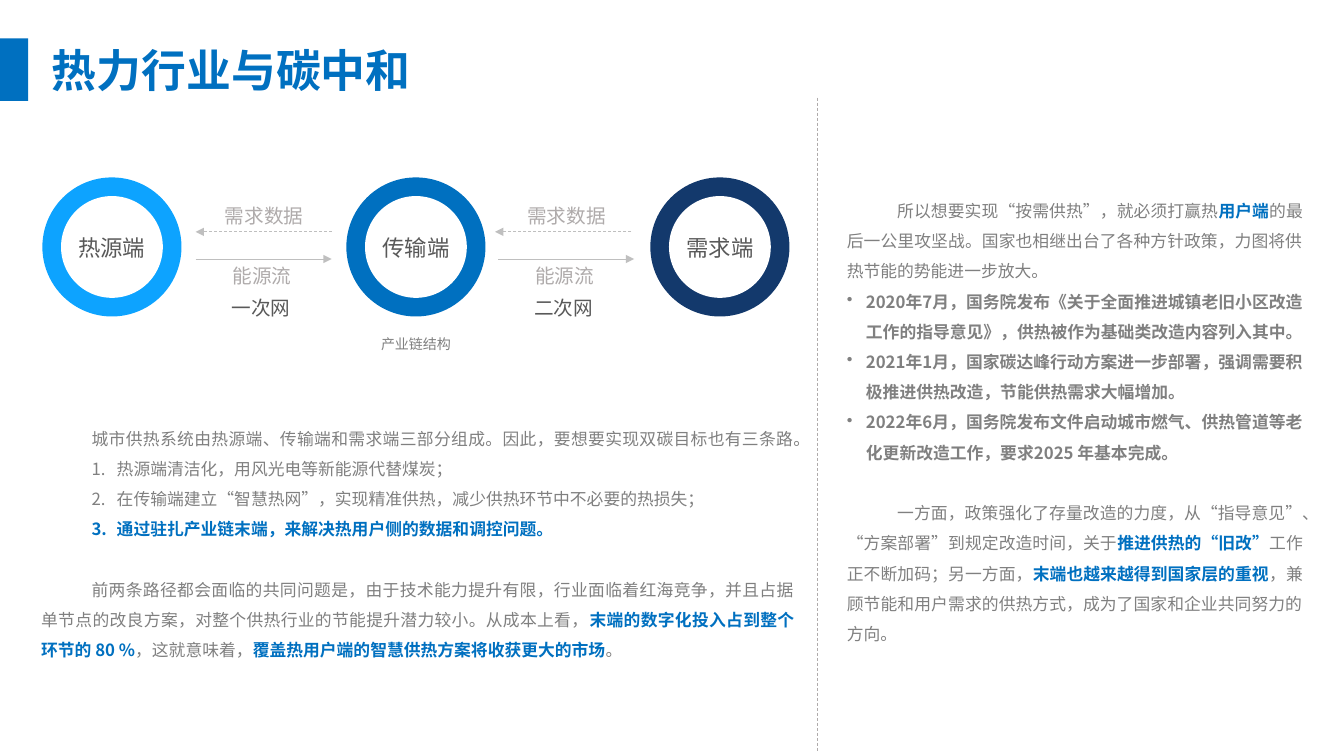
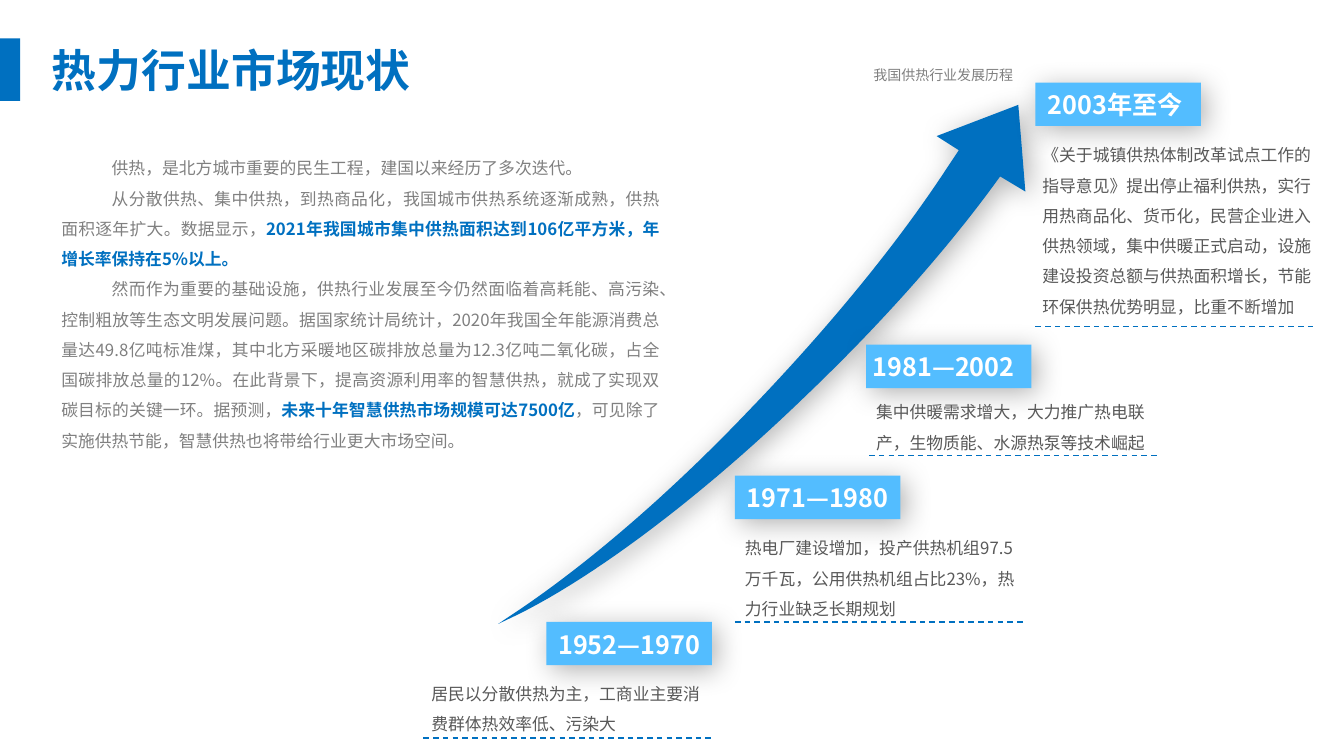
import pptx
import pptx.util
import pptx.dml.color
import pptx.enum.dml
import pptx.enum.shapes
import pptx.enum.text
import pptx.oxml
import pptx.oxml.ns

Inches, Pt = pptx.util.Inches, pptx.util.Pt
SHAPE = pptx.enum.shapes.MSO_SHAPE
ALIGN = pptx.enum.text.PP_ALIGN
FONT = "Noto Sans CJK SC"
BLUE, SKY, PALE, NAVY = "0070C0", "0DA3FF", "53BDFF", "13396C"
DARK, GRAY, SOFT, LIGHT, WHITE = "595959", "808080", "AFABAB", "BFBFBF", "FFFFFF"

# First-line indent and left margin for each kind of paragraph
INDENT = {"first": (0, 0.5), "num": (0.75, -0.25), "dot": (0.19, -0.19), "flat": (0, 0)}
BULLET = {"num": '<a:buAutoNum %s type="arabicPeriod"/>', "dot": '<a:buChar %s char="•"/>'}
GAP = 21.6  # height of one body line, in points


def paint(color, hue):
    color.rgb = pptx.dml.color.RGBColor.from_string(hue)


def add_xml(parent, markup):
    space = pptx.oxml.ns.nsdecls("a")
    parent.append(pptx.oxml.parse_xml(markup % space))


# Text
def style(run, size, hue, bold=False):
    font = run.font
    font.size, font.bold, font.name = Pt(size), bold, FONT
    paint(font.color, hue)
    props = run._r.get_or_add_rPr()
    props.set("lang", "zh-CN")
    add_xml(props, f'<a:ea %s typeface="{FONT}"/>')


def add_box(slide, x, y, w, h):
    frame = slide.shapes.add_textbox(*map(Inches, (x, y, w, h))).text_frame
    frame.word_wrap = True
    return frame


def label(slide, x, y, w, h, text, size, hue, bold=False):
    para = add_box(slide, x, y, w, h).paragraphs[0]
    para.text, para.alignment = text, ALIGN.CENTER
    style(para.runs[0], size, hue, bold)


def body(slide, x, y, w, h, items, hue=GRAY, align=ALIGN.JUSTIFY):
    """Items are (kind, space before, text); text between asterisks is stressed."""
    frame = add_box(slide, x, y, w, h)
    for i, (kind, space, text) in enumerate(items):
        para = frame.add_paragraph() if i else frame.paragraphs[0]
        para.alignment, para.line_spacing = align, 1.5
        para.space_before = Pt(space)
        props = para._p.get_or_add_pPr()
        for key, size in zip(("marL", "indent"), INDENT[kind]):
            props.set(key, str(Inches(size)))
        if kind in BULLET:
            add_xml(props, BULLET[kind])
        for j, part in enumerate(text.split("*")):
            if part:
                run = para.add_run()
                run.text = part
                stress = j % 2 == 1
                style(run, 12, BLUE if stress else hue, stress or kind == "dot")


# Shapes and lines
def fill(shape, hue, shade=False):
    shape.fill.solid()
    paint(shape.fill.fore_color, hue)
    shape.line.fill.background()
    shape.shadow.inherit = False
    if shade:
        glow = shape._element.spPr.find(pptx.oxml.ns.qn("a:effectLst"))
        add_xml(glow, f'<a:outerShdw %s blurRad="{Pt(20)}" dist="{Pt(5)}" dir="2700000" '
                      'algn="tl" rotWithShape="0"><a:srgbClr val="000000">'
                      '<a:alpha val="30000"/></a:srgbClr></a:outerShdw>')


def block(slide, kind, x, y, w, h, hue, shade=False):
    fill(slide.shapes.add_shape(kind, *map(Inches, (x, y, w, h))), hue, shade)


def rule(slide, x1, y1, x2, y2, hue, width, dash=True, arrow=False):
    kind = pptx.enum.shapes.MSO_CONNECTOR.STRAIGHT
    link = slide.shapes.add_connector(kind, *map(Inches, (x1, y1, x2, y2)))
    link.line.width = Pt(width)
    paint(link.line.color, hue)
    if dash:
        link.line.dash_style = pptx.enum.dml.MSO_LINE.DASH
    if arrow:
        add_xml(link.line._get_or_add_ln(), '<a:tailEnd %s type="triangle"/>')
    add_xml(link._element.spPr, "<a:effectLst %s/>")


def curve(a, b, c, d, steps=24):
    """Points of a cubic curve after its start a."""
    for t in (n / steps for n in range(1, steps + 1)):
        s = 1 - t
        yield tuple(s**3 * p + 3 * s * s * t * q + 3 * s * t * t * r + t**3 * e
                    for p, q, r, e in zip(a, b, c, d))


def swoosh(slide):
    pts = [(10.1, 1.04), (10.17, 1.9), (9.92, 1.75), (9.84, 1.86)]
    pts += curve(pts[-1], (9.36, 2.51), (8.74, 3.21), (8.02, 3.9))
    pts += curve(pts[-1], (6.96, 4.93), (5.91, 5.71), (5.15, 6.09))
    pts += [(4.94, 6.19), (5.15, 6.05)]
    pts += curve(pts[-1], (5.83, 5.59), (6.63, 4.91), (7.43, 4.07))
    pts += curve(pts[-1], (8.24, 3.23), (8.93, 2.38), (9.41, 1.64))
    pts += [(9.51, 1.49), (9.29, 1.35)]
    pts = [(Inches(x), Inches(y)) for x, y in pts]
    pen = slide.shapes.build_freeform(*pts[0])
    pen.add_line_segments(pts[1:], close=True)
    fill(pen.convert_to_shape(), BLUE, True)


# Parts shared by the slides
def start(deck, title, width):
    slide = deck.slides.add_slide(deck.slide_layouts[6])
    block(slide, SHAPE.RECTANGLE, 0, 0.38, width, 0.62, BLUE)
    label(slide, 0.03, 0.37, 4.53, 0.64, title, 32, BLUE, True)
    return slide


def chain(slide):
    size, rim = 1.38, 0.185
    for i, (name, hue) in enumerate((("热源端", SKY), ("传输端", BLUE), ("需求端", NAVY))):
        x = 0.42 + 3.015 * i
        block(slide, SHAPE.OVAL, x, 1.76, size, size, hue)
        block(slide, SHAPE.OVAL, x + rim, 1.76 + rim, size - 2 * rim, size - 2 * rim, WHITE)
        label(slide, x + 0.24, 2.27, 0.9, 0.37, name, 16, DARK)
    for i, net in enumerate(("一次网", "二次网")):
        x = 3 * i
        rule(slide, x + 1.94, 2.57, x + 3.29, 2.57, LIGHT, 0.5, False, True)
        back = 2.97 * i
        rule(slide, back + 3.29, 2.3, back + 1.94, 2.3, LIGHT, 0.5, True, True)
        label(slide, x + 2.11, 1.97, 1.02, 0.34, "需求数据", 14, SOFT)
        label(slide, x + 2.09, 2.57, 1.02, 0.34, "能源流", 14, SOFT)
        label(slide, x + 2.14, 2.89, 0.9, 0.34, net, 14, DARK)
    label(slide, 2.8, 3.28, 2.65, 0.27, "产业链结构", 10, GRAY)


def stage(slide, years, x, y, shift, note, line, text):
    block(slide, SHAPE.RECTANGLE, x, y, 1.64, 0.43, PALE, True)
    label(slide, x + shift, y + 0.02, 1.64, 0.4, years, 18, WHITE, True)
    body(slide, *note, [("flat", 0, text)], DARK, ALIGN.LEFT)
    left, right, low = line
    rule(slide, left, low, right, low, BLUE, 1)


PATHS = [
    ("first", 0, "城市供热系统由热源端、传输端和需求端三部分组成。因此，要想要实现双碳目标也有三条路。"),
    ("num", 0, "热源端清洁化，用风光电等新能源代替煤炭；"),
    ("num", 0, "在传输端建立“智慧热网”，实现精准供热，减少供热环节中不必要的热损失；"),
    ("num", 0, "*通过驻扎产业链末端，来解决热用户侧的数据和调控问题。*"),
    ("first", GAP, "前两条路径都会面临的共同问题是，由于技术能力提升有限，行业面临着红海竞争，"
     "并且占据单节点的改良方案，对整个供热行业的节能提升潜力较小。从成本上看，"
     "*末端的数字化投入占到整个环节的 80 %*，这就意味着，"
     "*覆盖热用户端的智慧供热方案将收获更大的市场*。"),
]
POLICY = [
    ("first", 0, "所以想要实现“按需供热”，就必须打赢热*用户端*的最后一公里攻坚战。"
     "国家也相继出台了各种方针政策，力图将供热节能的势能进一步放大。"),
    ("dot", 0, "2020年7月，国务院发布《关于全面推进城镇老旧小区改造工作的指导意见》，"
     "供热被作为基础类改造内容列入其中。"),
    ("dot", 0, "2021年1月，国家碳达峰行动方案进一步部署，强调需要积极推进供热改造，"
     "节能供热需求大幅增加。"),
    ("dot", 0, "2022年6月，国务院发布文件启动城市燃气、供热管道等老化更新改造工作，"
     "要求2025 年基本完成。"),
    ("first", GAP, "一方面，政策强化了存量改造的力度，从“指导意见”、“方案部署”到规定改造时间，"
     "关于*推进供热的“旧改”*工作正不断加码；另一方面，*末端也越来越得到国家层的重视*，"
     "兼顾节能和用户需求的供热方式，成为了国家和企业共同努力的方向。"),
]
MARKET = [
    ("first", 0, "供热，是北方城市重要的民生工程，建国以来经历了多次迭代。"),
    ("first", 0, "从分散供热、集中供热，到热商品化，我国城市供热系统逐渐成熟，供热面积逐年扩大。"
     "数据显示，*2021年我国城市集中供热面积达到106亿平方米，年增长率保持在5%以上。*"),
    ("first", 0, "然而作为重要的基础设施，供热行业发展至今仍然面临着高耗能、高污染、"
     "控制粗放等生态文明发展问题。据国家统计局统计，2020年我国全年能源消费总量达49.8亿吨标准煤，"
     "其中北方采暖地区碳排放总量为12.3亿吨二氧化碳，占全国碳排放总量的12%。在此背景下，"
     "提高资源利用率的智慧供热，就成了实现双碳目标的关键一环。据预测，"
     "*未来十年智慧供热市场规模可达7500亿*，可见除了实施供热节能，"
     "智慧供热也将带给行业更大市场空间。"),
]
# Years, tag place, tag text shift, note box, underline (left, right, height), text
STAGES = [
    ("1952—1970", 5.42, 6.17, 0, (4.18, 6.63, 2.88, 0.68), (4.2, 7.06, 7.32),
     "居民以分散供热为主，工商业主要消费群体热效率低、污染大"),
    ("1971—1980", 7.29, 4.72, 0, (7.29, 5.19, 2.88, 0.98), (7.29, 10.15, 6.17),
     "热电厂建设增加，投产供热机组97.5万千瓦，公用供热机组占比23%，热力行业缺乏长期规划"),
    ("1981—2002", 8.59, 3.42, -0.05, (8.59, 3.84, 2.88, 0.68), (8.62, 11.48, 4.52),
     "集中供暖需求增大，大力推广热电联产，生物质能、水源热泵等技术崛起"),
    ("2003年至今", 10.27, 0.82, -0.03, (10.24, 1.29, 2.98, 1.89), (10.27, 13.05, 3.24),
     "《关于城镇供热体制改革试点工作的指导意见》提出停止福利供热，实行用热商品化、货币化，"
     "民营企业进入供热领域，集中供暖正式启动，设施建设投资总额与供热面积增长，"
     "节能环保供热优势明显，比重不断增加"),
]


def main():
    deck = pptx.Presentation()
    deck.slide_width, deck.slide_height = Inches(13.33), Inches(7.5)

    # Industry chain and policy
    slide = start(deck, "热力行业与碳中和", 0.28)
    chain(slide)
    body(slide, 0.31, 4.1, 7.67, 2.49, PATHS)
    rule(slide, 8.11, 0.97, 8.11, 7.46, SOFT, 0.5)
    body(slide, 8.3, 1.84, 4.72, 4.61, POLICY)

    # Market and its history
    slide = start(deck, "热力行业市场现状", 0.2)
    swoosh(slide)
    for row in STAGES:
        stage(slide, *row)
    body(slide, 0.51, 1.42, 6.13, 3.1, MARKET)
    label(slide, 8.03, 0.61, 2.65, 0.27, "我国供热行业发展历程", 10, GRAY)
    deck.save("out.pptx")


if __name__ == "__main__":
    main()
